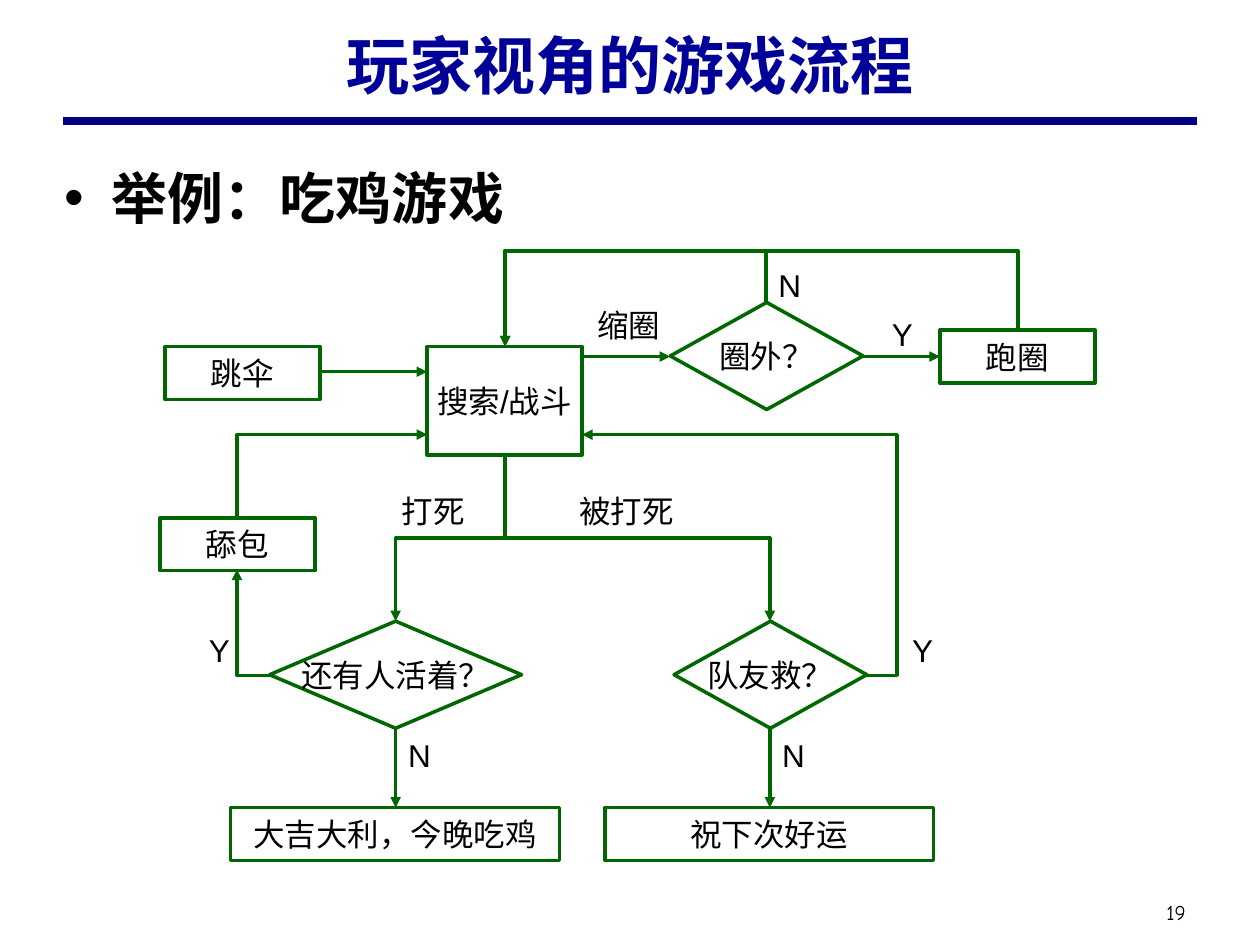
"""Build the slide with the flow of a battle game as the player sees it."""
from lxml import etree
from pptx import Presentation
from pptx.dml.color import RGBColor
from pptx.enum import shapes, text
from pptx.oxml import ns
from pptx.util import Inches, Pt

GREEN, NAVY, BLACK = "006600", "000080", "000000"
RECT, DECISION = shapes.MSO_SHAPE.RECTANGLE, shapes.MSO_SHAPE.FLOWCHART_DECISION
CENTER, LEFT = text.PP_ALIGN.CENTER, text.PP_ALIGN.LEFT


def color(value):
    return RGBColor.from_string(value)


def write(shape, words, size, font, ink=BLACK, bold=False, align=LEFT):
    shape.text_frame.text = words
    paragraph = shape.text_frame.paragraphs[0]
    paragraph.alignment = align
    run_font = paragraph.runs[0].font
    run_font.size, run_font.name, run_font.bold = Pt(size), font, bold
    run_font.color.rgb = color(ink)
    return paragraph


presentation = Presentation()
presentation.slide_width, presentation.slide_height = Inches(10), Inches(7.5)
slide = presentation.slides.add_slide(presentation.slide_layouts[5])

title = slide.shapes.title
title.left, title.top = Inches(0.75), Inches(0.08)
title.width, title.height = Inches(8.5), Inches(0.86)
write(title, "玩家视角的游戏流程", 36, "Times New Roman", "000099", True, CENTER)
title.text_frame.vertical_anchor = text.MSO_ANCHOR.MIDDLE
title.text_frame.auto_size = text.MSO_AUTO_SIZE.NONE

example = slide.shapes.add_textbox(Inches(0.41), Inches(1.25), Inches(9.18), Inches(0.7))
example.text_frame.word_wrap = True
paragraph = write(example, "举例：吃鸡游戏", 32, "Times New Roman", bold=True)
properties = paragraph._p.get_or_add_pPr()
properties.set("marL", str(Inches(0.38)))
properties.set("indent", str(Inches(-0.38)))
etree.SubElement(properties, ns.qn("a:buFont")).set("typeface", "Arial")
etree.SubElement(properties, ns.qn("a:buChar")).set("char", "•")

number = slide.shapes.add_textbox(Inches(9.1), Inches(7.09), Inches(0.47), Inches(0.3))
write(number, "19", 12, "Comic Neue", align=CENTER)
frame = number.text_frame
frame.vertical_anchor = text.MSO_ANCHOR.MIDDLE
frame.margin_left = frame.margin_right = frame.margin_top = frame.margin_bottom = Inches(0.05)

steps = [
    ("跳伞", RECT, 1.31, 2.75, 1.23, 0.42),
    ("圈外？", DECISION, 5.32, 2.4, 1.53, 0.85),
    ("还有人活着？", DECISION, 2.14, 4.93, 2, 0.85),
    ("队友救？", DECISION, 5.35, 4.93, 1.53, 0.85),
    ("搜索/战斗", RECT, 3.39, 2.75, 1.23, 0.86),
    ("跑圈", RECT, 7.46, 2.62, 1.23, 0.42),
    ("大吉大利，今晚吃鸡", RECT, 1.83, 6.41, 2.61, 0.42),
    ("舔包", RECT, 1.27, 4.11, 1.23, 0.42),
    ("祝下次好运", RECT, 4.8, 6.41, 2.61, 0.42),
]
for words, kind, *box in steps:
    step = slide.shapes.add_shape(kind, *map(Inches, box))
    step.shadow.inherit = False
    step.fill.background()
    step.line.color.rgb, step.line.width = color(GREEN), Pt(2)
    write(step, words, 18, "Arial", align=CENTER)
    step.text_frame.word_wrap = False
    step.text_frame.vertical_anchor = text.MSO_ANCHOR.MIDDLE

labels = [
    ("缩圈", 4.64, 2.38, 0.71),
    ("Y", 7.14, 4.96, 0.32),
    ("Y", 1.56, 4.96, 0.32),
    ("N", 3.14, 5.79, 0.32),
    ("N", 6.11, 5.79, 0.32),
    ("打死", 3.09, 3.86, 0.79),
    ("被打死", 4.5, 3.86, 1.1),
    ("N", 6.08, 2.06, 0.32),
    ("Y", 6.98, 2.45, 0.32),
]
for words, left, top, width in labels:
    label = slide.shapes.add_textbox(Inches(left), Inches(top), Inches(width), Inches(0.4))
    write(label, words, 18, "Arial")
    label.text_frame.word_wrap = words != "缩圈"

lines = [((0.5, 0.96), (9.5, 0.96), NAVY, 4.5)]
arrows = [
    ((2.54, 2.95), (3.39, 2.95)),
    ((4.62, 2.83), (5.32, 2.83)),
    ((6.85, 2.83), (7.46, 2.83)),
    ((3.14, 5.78), (3.14, 6.41)),
    ((6.11, 5.78), (6.11, 6.41)),
]
lines += [(start, end, GREEN, 2) for start, end in arrows]
for start, end, ink, width in lines:
    line = slide.shapes.add_connector(
        shapes.MSO_CONNECTOR.STRAIGHT, *map(Inches, start + end))
    line.line.color.rgb, line.line.width = color(ink), Pt(width)
    etree.SubElement(line._element.spPr, ns.qn("a:effectLst"))
    if ink == GREEN:
        etree.SubElement(line.line._get_or_add_ln(), ns.qn("a:tailEnd")).set("type", "triangle")

elbows = [
    ((6.87, 5.36), (4.62, 3.45), 0, 7.12),
    ((4.01, 3.61), (3.14, 4.93), 90, 4.27),
    ((4.01, 3.61), (6.11, 4.93), 270, 4.27),
    ((8.08, 2.62), (4.01, 2.75), 270, 1.99),
    ((6.08, 2.4), (4.01, 2.75), 270, 1.99),
    ((2.14, 5.36), (1.88, 4.52), 180, None),
    ((1.88, 4.11), (3.39, 3.45), 90, None),
]
for start, end, turn, lane in elbows:
    dx, dy = end[0] - start[0], end[1] - start[1]
    middle_x, middle_y = (start[0] + end[0]) / 2, (start[1] + end[1]) / 2
    run, rise = {0: (dx, dy), 90: (dy, -dx), 180: (-dx, -dy), 270: (-dy, dx)}[turn]
    elbow = slide.shapes.add_connector(
        shapes.MSO_CONNECTOR.ELBOW,
        Inches(middle_x - run / 2), Inches(middle_y - rise / 2),
        Inches(middle_x + run / 2), Inches(middle_y + rise / 2))
    elbow.line.color.rgb, elbow.line.width = color(GREEN), Pt(2)
    etree.SubElement(elbow.line._get_or_add_ln(), ns.qn("a:tailEnd")).set("type", "triangle")
    outline = elbow._element.spPr
    etree.SubElement(outline, ns.qn("a:effectLst"))
    outline.find(ns.qn("a:xfrm")).set("rot", str(turn * 60000))
    geometry = outline.find(ns.qn("a:prstGeom"))
    if lane is None:
        geometry.set("prst", "bentConnector2")
    else:
        axis = 1 if turn in (90, 270) else 0
        bend = (lane - start[axis]) / (end[axis] - start[axis])
        guide = etree.SubElement(geometry.find(ns.qn("a:avLst")), ns.qn("a:gd"))
        guide.set("name", "adj1")
        guide.set("fmla", f"val {round(bend * 100000)}")

presentation.save("out.pptx")
